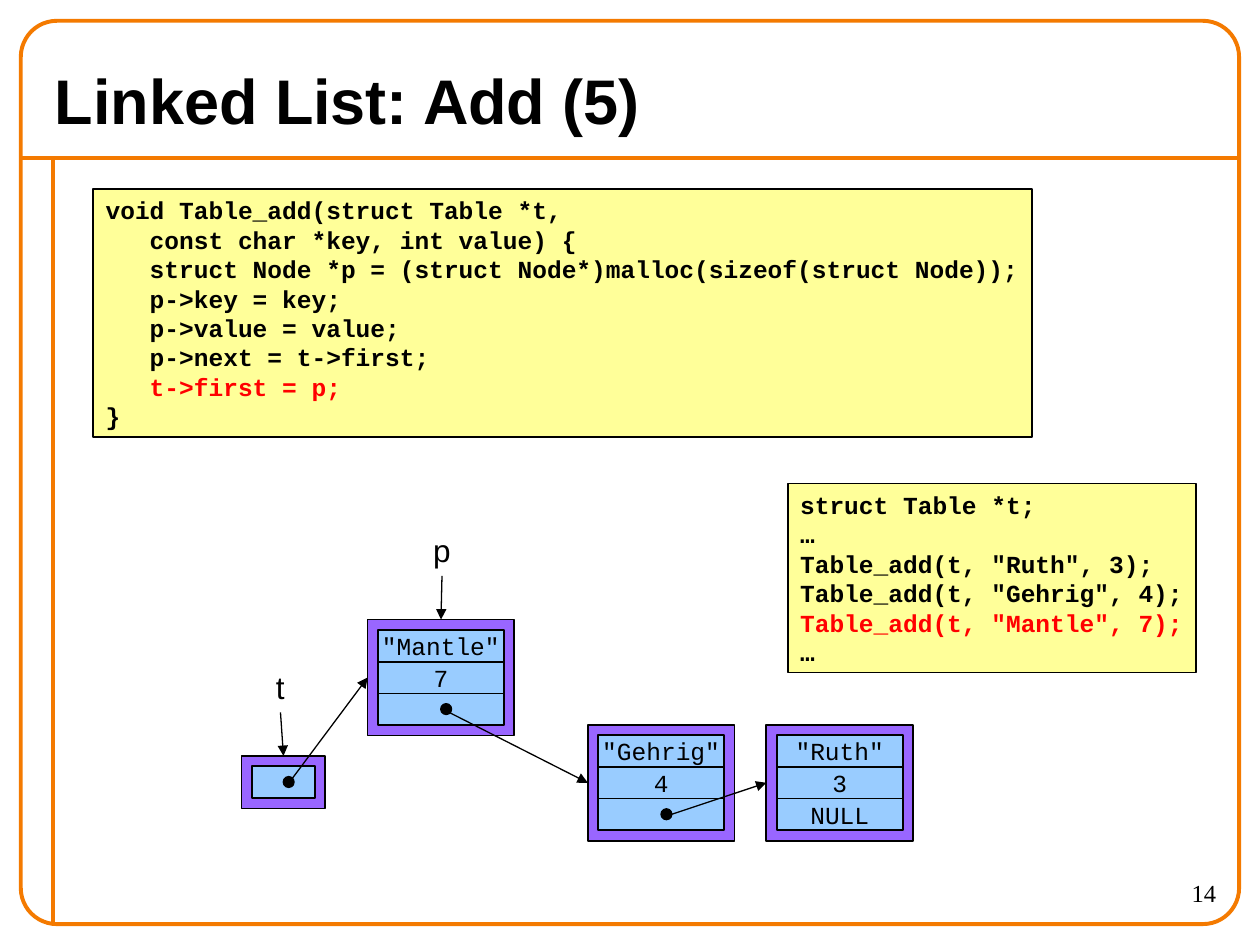
from lxml import etree
from pptx import Presentation
from pptx import util as u
from pptx.dml.color import RGBColor
from pptx.enum import shapes, text
from pptx.oxml.ns import qn

Cm, Pt = u.Cm, u.Pt
rgb = RGBColor.from_string
ORANGE, PURPLE, BLUE, YELLOW = "F47A00", "9966FF", "99CCFF", "FFFF99"
BLACK, RED = "000000", "FF0000"
RECT, OVAL = shapes.MSO_SHAPE.RECTANGLE, shapes.MSO_SHAPE.OVAL


def write(box, words, font="Arial", size=18, bold=False, align="LEFT",
          anchor="TOP", wrap=False, grow=False, red_line=None):
    frame = box.text_frame
    frame.word_wrap = wrap
    frame.vertical_anchor = getattr(text.MSO_ANCHOR, anchor)
    fit = text.MSO_AUTO_SIZE
    frame.auto_size = fit.SHAPE_TO_FIT_TEXT if grow else fit.NONE
    for number, line in enumerate(words.split("\n")):
        para = frame.add_paragraph() if number else frame.paragraphs[0]
        para.alignment = getattr(text.PP_ALIGN, align)
        para.line_spacing = Pt(1.2 * size)
        span = para.add_run()
        span.text = line
        span.font.name, span.font.size, span.font.bold = font, Pt(size), bold
        span.font.color.rgb = rgb(RED if number == red_line else BLACK)


def draw(kind, left, top, width, height, fill=None, line=BLACK, weight=1):
    """Add a preset shape, with sizes in centimetres."""
    shape = page.shapes.add_shape(kind, Cm(left), Cm(top), Cm(width), Cm(height))
    shape.shadow.inherit = False
    if fill:
        shape.fill.solid()
        shape.fill.fore_color.rgb = rgb(fill)
    else:
        shape.fill.background()
    shape.line.color.rgb = rgb(line)
    shape.line.width = Pt(weight)
    return shape


deck = Presentation()
deck.slide_width, deck.slide_height = Cm(25.4), Cm(19.05)
page = deck.slides.add_slide(deck.slide_layouts[5])

# Frame, title and page number
border = draw(shapes.MSO_SHAPE.ROUNDED_RECTANGLE, 0.42, 0.42, 24.56, 18.21,
              line=ORANGE, weight=2.25)
border.adjustments[0] = 0.04

title = page.shapes.title
title.left, title.top, title.width, title.height = Cm(0.85), Cm(1.06), Cm(23.7), Cm(1.9)
write(title, "Linked List: Add (5)", size=36, bold=True, anchor="MIDDLE", wrap=True)

page_number = page.shapes.add_textbox(Cm(22.23), Cm(17.57), Cm(2.54), Cm(1.06))
write(page_number, "14", font="Times New Roman", size=14, align="RIGHT", wrap=True)

# Code listings; no right margin, so that the longest line fits
add_function = """void Table_add(struct Table *t,
   const char *key, int value) {
   struct Node *p = (struct Node*)malloc(sizeof(struct Node));
   p->key = key;
   p->value = value;
   p->next = t->first;
   t->first = p;
}"""
calls = """struct Table *t;
…
Table_add(t, "Ruth", 3);
Table_add(t, "Gehrig", 4);
Table_add(t, "Mantle", 7);
…"""
for code, red_line, place in [(add_function, 6, (1.88, 3.81, 18.92, 5)),
                              (calls, 4, (15.88, 9.75, 8.23, 3.81))]:
    listing = draw(RECT, *place, fill=YELLOW)
    listing.text_frame.margin_right = 0
    write(listing, code, font="Courier New", size=14, bold=True,
          anchor="MIDDLE", wrap=True, red_line=red_line)

# Table and list nodes: stacked cells in a frame; None marks a pointer cell
ROW, RIM, DOT = 0.64, 0.21, 0.21
nodes, dots = {}, {}
for name, left, top, width, cells in [
        ("table", 5.08, 15.45, 1.27, [None]),
        ("Gehrig", 12.06, 14.82, 2.54, ['"Gehrig"', "4", None]),
        ("Ruth", 15.66, 14.82, 2.54, ['"Ruth"', "3", "NULL"]),
        ("Mantle", 7.62, 12.7, 2.54, ['"Mantle"', "7", None])]:
    nodes[name] = draw(RECT, left - RIM, top - RIM, width + 2 * RIM,
                       len(cells) * ROW + 2 * RIM, fill=PURPLE)
    for row, value in enumerate(cells):
        cell_top = top + row * ROW
        cell = draw(RECT, left, cell_top, width, ROW, fill=BLUE)
        if value:
            write(cell, value, font="Courier New", size=14, align="CENTER",
                  anchor="MIDDLE")
        else:
            dots[name] = (left + width / 2, cell_top + RIM)
            draw(OVAL, *dots[name], DOT, DOT, fill=BLACK)

# Variable labels
labels = {}
for name, left, top, width in [("t", 5.31, 13.34, 0.69), ("p", 8.48, 10.59, 0.86)]:
    labels[name] = page.shapes.add_textbox(Cm(left), Cm(top), Cm(width), Cm(1.02))
    write(labels[name], name, grow=True)

# Rules under the title and beside the body
lines = []
for x1, y1, x2, y2 in [(0.42, 3.18, 24.98, 3.18), (1.06, 3.18, 1.06, 18.63)]:
    rule = page.shapes.add_connector(shapes.MSO_CONNECTOR.STRAIGHT,
                                     Cm(x1), Cm(y1), Cm(x2), Cm(y2))
    lines.append((rule, ORANGE, 2.25))

# Arrows: from a label's bottom, or from a point on a dot (share of its size)
TOP, LEFT, BOTTOM = 0, 1, 2
for start, end, side, across, down in [
        ("Gehrig", "Ruth", LEFT, 1, 0.5), ("table", "Mantle", LEFT, 0.85, 0.15),
        ("Mantle", "Gehrig", LEFT, 0.85, 0.85),
        ("t", "table", TOP, 0, 0), ("p", "Mantle", TOP, 0, 0)]:
    x, y = dots.get(start, (0, 0))
    arrow = page.shapes.add_connector(shapes.MSO_CONNECTOR.STRAIGHT,
                                      Cm(x + across * DOT), Cm(y + down * DOT), 0, 0)
    if start in labels:
        arrow.begin_connect(labels[start], BOTTOM)
    arrow.end_connect(nodes[end], side)
    etree.SubElement(arrow.line._get_or_add_ln(), qn("a:tailEnd"), type="triangle")
    lines.append((arrow, BLACK, 0.75))

for line, colour, weight in lines:
    line.line.color.rgb = rgb(colour)
    line.line.width = Pt(weight)
    etree.SubElement(line._element.spPr, qn("a:effectLst"))

deck.save("out.pptx")
